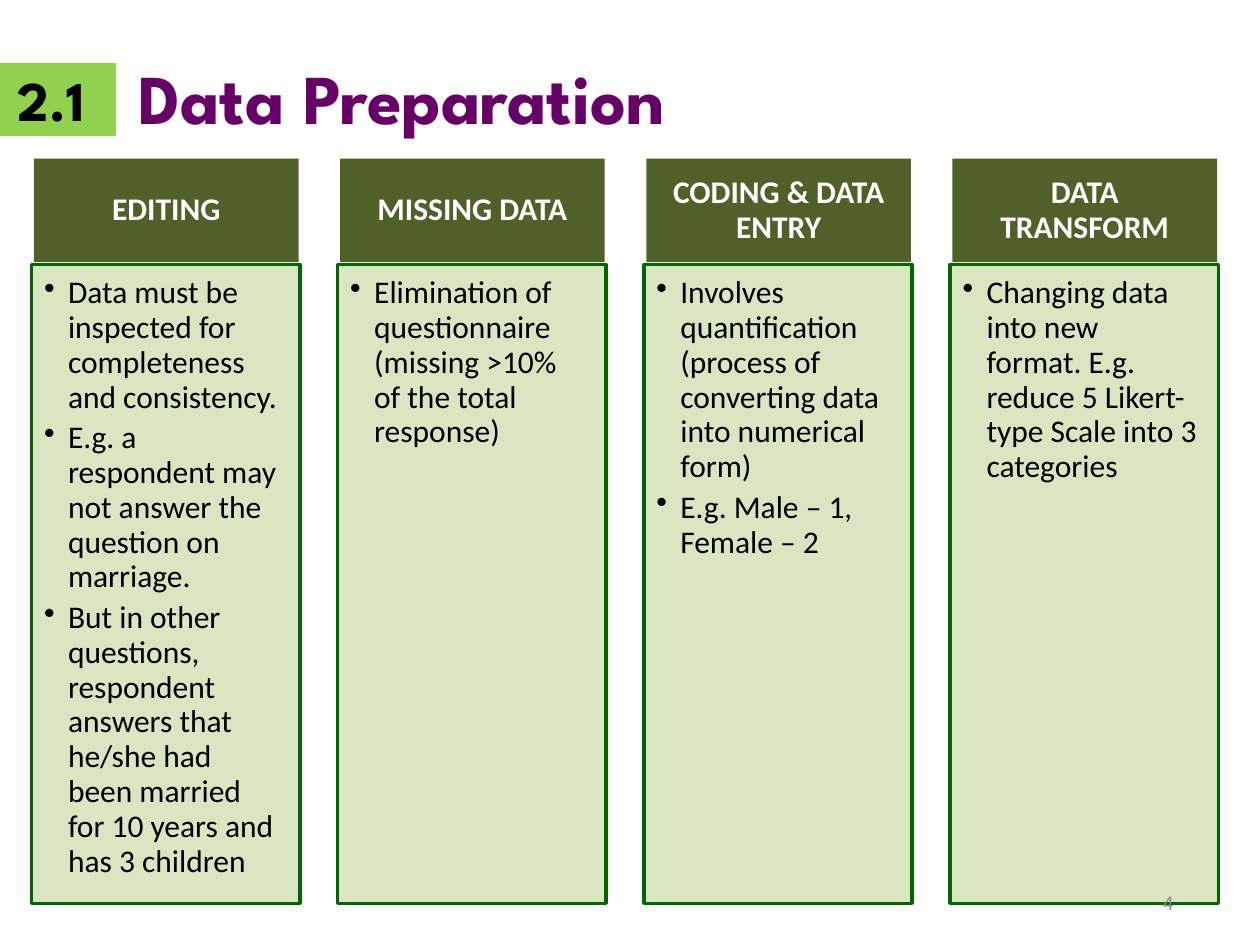
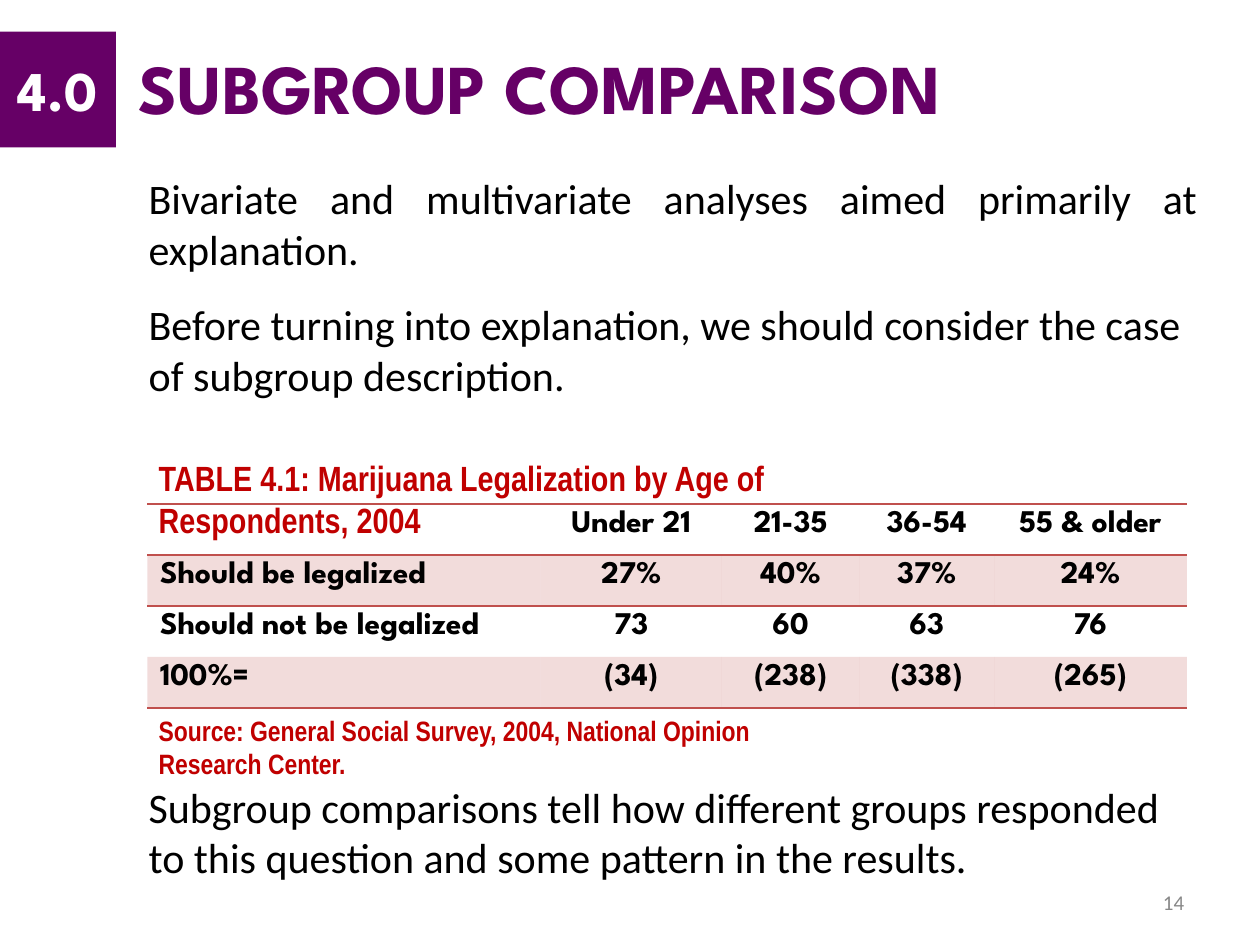
from lxml import etree
from pptx import Presentation
from pptx.dml.color import RGBColor
from pptx.enum.shapes import MSO_SHAPE
from pptx.enum.text import MSO_ANCHOR, PP_ALIGN
from pptx.oxml.ns import qn
from pptx.util import Inches, Pt

PURPLE = RGBColor(0x66, 0x00, 0x66)
LIME = RGBColor(0x92, 0xD0, 0x50)
OLIVE = RGBColor(0x4F, 0x61, 0x28)
PALE_GREEN = RGBColor(0xD6, 0xE3, 0xBC)
DARK_GREEN = RGBColor(0x00, 0x66, 0x00)
BRICK = RGBColor(0xC0, 0x50, 0x4D)
RED = RGBColor(0xC0, 0x00, 0x00)
GREY = RGBColor(0x88, 0x88, 0x88)
BLACK = RGBColor(0x00, 0x00, 0x00)
WHITE = RGBColor(0xFF, 0xFF, 0xFF)

HEADING_FONT = "League Spartan"
BODY_FONT = "Calibri"
CAPTION_FONT = "Arial Narrow"


def write(shape, paragraphs, font, size, color, bold=False, align=PP_ALIGN.LEFT,
          anchor=MSO_ANCHOR.TOP, insets=(0, 0, 0, 0)):
    frame = shape.text_frame
    frame.word_wrap = True
    frame.vertical_anchor = anchor
    frame.margin_left, frame.margin_top, frame.margin_right, frame.margin_bottom = map(Inches, insets)
    for index, text in enumerate(paragraphs):
        paragraph = frame.paragraphs[0] if index == 0 else frame.add_paragraph()
        paragraph.text = text
        paragraph.alignment = align
        paragraph.font.name = font
        paragraph.font.size = Pt(size)
        paragraph.font.bold = bold
        paragraph.font.color.rgb = color
    return frame.paragraphs


def paint(fill, color, opacity=100):
    fill.solid()
    fill.fore_color.rgb = color
    if opacity < 100:
        srgb = fill._xPr.find(qn("a:solidFill")).find(qn("a:srgbClr"))
        etree.SubElement(srgb, qn("a:alpha"), val=str(opacity * 1000))


prs = Presentation()
prs.slide_width = Inches(10)
prs.slide_height = Inches(7.5)

HEADINGS = [
    ("2.1", "Data Preparation", "4", 0.5, 0.58, LIME, BLACK, 0.43),
    ("4.0", "SUBGROUP COMPARISON", "14", 0.25, 0.92, PURPLE, WHITE, 0.35),
]
CARDS = [
    ("EDITING", [
        "Data must be inspected for completeness and consistency.",
        "E.g. a\vrespondent may not answer the question on marriage.",
        "But in other questions, respondent answers that he/she had\vbeen married\vfor 10 years and has 3 children",
    ]),
    ("MISSING DATA", ["Elimination of questionnaire (missing >10%\vof the total response)"]),
    ("CODING & DATA\vENTRY", [
        "Involves quantification (process of converting data into numerical form)",
        "E.g. Male – 1, Female – 2",
    ]),
    ("DATA\vTRANSFORM", [
        "Changing data into new\vformat. E.g. reduce 5 Likert-type Scale into 3 categories",
    ]),
]
CARD_LEFT, CARD_STEP = 0.25, 2.43

preparation, comparison = [prs.slides.add_slide(prs.slide_layouts[6]) for _ in HEADINGS]

for column, (heading, points) in enumerate(CARDS):
    left = CARD_LEFT + column * CARD_STEP
    header = preparation.shapes.add_shape(
        MSO_SHAPE.RECTANGLE, Inches(left + 0.02), Inches(1.26), Inches(2.1), Inches(0.82))
    header.shadow.inherit = False
    paint(header.fill, OLIVE)
    header.line.fill.background()
    write(header, [heading], BODY_FONT, 18, WHITE, True, PP_ALIGN.CENTER,
          MSO_ANCHOR.MIDDLE)[0].line_spacing = 0.92

    card = preparation.shapes.add_shape(
        MSO_SHAPE.RECTANGLE, Inches(left), Inches(2.1), Inches(2.13), Inches(5.07))
    card.shadow.inherit = False
    paint(card.fill, PALE_GREEN, 90)
    card.line.color.rgb = DARK_GREEN
    card.line.width = Pt(2)
    for index, point in enumerate(write(card, points, BODY_FONT, 18, BLACK, insets=(0, 0.09, 0.15, 0))):
        point.line_spacing = 0.92
        point.space_before = Pt(3.4 if index else 0)
        properties = point._p.get_or_add_pPr()
        properties.set("marL", str(Inches(0.29)))
        properties.set("indent", str(Inches(-0.19)))
        bullet = etree.Element(qn("a:buChar"), char="•")
        properties.insert_element_before(bullet, "a:tabLst", "a:defRPr", "a:extLst")

for slide, (number, title, page, top, height, tag_color, number_color, title_top) in zip(
        (preparation, comparison), HEADINGS):
    tag = slide.shapes.add_shape(
        MSO_SHAPE.RECTANGLE, 0, Inches(top), Inches(0.92), Inches(height))
    tag.shadow.inherit = False
    paint(tag.fill, tag_color)
    tag.line.fill.background()
    write(tag, [number], HEADING_FONT, 32, number_color, True,
          anchor=MSO_ANCHOR.MIDDLE, insets=(0.14, 0, 0, 0))
    title_box = slide.shapes.add_textbox(Inches(1.1), Inches(title_top), Inches(8), Inches(0.69))
    write(title_box, [title], HEADING_FONT, 40, PURPLE, True)
    page_box = slide.shapes.add_textbox(Inches(9.23), Inches(7.06), Inches(0.3), Inches(0.2))
    write(page_box, [page], BODY_FONT, 12, GREY)

intro = comparison.shapes.add_textbox(Inches(1.18), Inches(1.37), Inches(8.32), Inches(1.82))
aim, description = write(intro, [
    "Bivariate and multivariate analyses aimed primarily at explanation.",
    "Before turning into explanation, we should consider the case of subgroup description.",
], BODY_FONT, 24, BLACK)
aim.alignment = PP_ALIGN.JUSTIFY
description.space_before = Pt(14.4)

SURVEY = [
    ("", "Under 21", "21-35", "36-54", "55 & older"),
    ("Should be legalized", "27%", "40%", "37%", "24%"),
    ("Should not be legalized", "73", "60", "63", "76"),
    ("100%=", "(34)", "(238)", "(338)", "(265)"),
]
COLUMN_WIDTHS = (3.12, 1.44, 1.09, 1.07, 1.53)
RULED_EDGES = (0, 1, 2, 4)

survey = comparison.shapes.add_table(
    len(SURVEY), len(COLUMN_WIDTHS), Inches(1.17), Inches(4), Inches(8.25), Inches(1.62)).table
survey.first_row = False
survey.horz_banding = False
for column, width in enumerate(COLUMN_WIDTHS):
    survey.columns[column].width = Inches(width)
for row, values in enumerate(SURVEY):
    for column, value in enumerate(values):
        cell = survey.cell(row, column)
        write(cell, [value], HEADING_FONT, 18, BLACK, True,
              PP_ALIGN.CENTER if column else PP_ALIGN.LEFT)
        cell.margin_left = Inches(0 if column else 0.1)
        cell.margin_right = cell.margin_bottom = 0
        cell.margin_top = Inches(0.05)
        if row % 2:
            paint(cell.fill, BRICK, 20)
        else:
            cell.fill.background()
        ruled = {"lnT": row in RULED_EDGES, "lnB": row + 1 in RULED_EDGES}
        for position, side in enumerate(("lnL", "lnR", "lnT", "lnB")):
            border = etree.Element(qn(f"a:{side}"), w=str(Pt(1)))
            if ruled.get(side):
                solid = etree.SubElement(border, qn("a:solidFill"))
                etree.SubElement(solid, qn("a:srgbClr"), val=str(BRICK))
            else:
                etree.SubElement(border, qn("a:noFill"))
            cell._tc.get_or_add_tcPr().insert(position, border)

NOTES = [
    ("TABLE 4.1: Marijuana Legalization by Age of Respondents, 2004",
     1.26, 3.62, 5.89, 0.7, CAPTION_FONT, 20, RED, True),
    ("Source: General Social Survey, 2004, National Opinion Research Center.",
     1.26, 5.66, 5.46, 0.55, CAPTION_FONT, 16, RED, True),
    ("Subgroup comparisons tell how different groups responded to this question and some pattern in the results.",
     1.18, 6.2, 8.1, 0.82, BODY_FONT, 24, BLACK, False),
]
for text, left, top, width, height, font, size, color, bold in NOTES:
    note = comparison.shapes.add_textbox(Inches(left), Inches(top), Inches(width), Inches(height))
    write(note, [text], font, size, color, bold)

prs.save("out.pptx")
